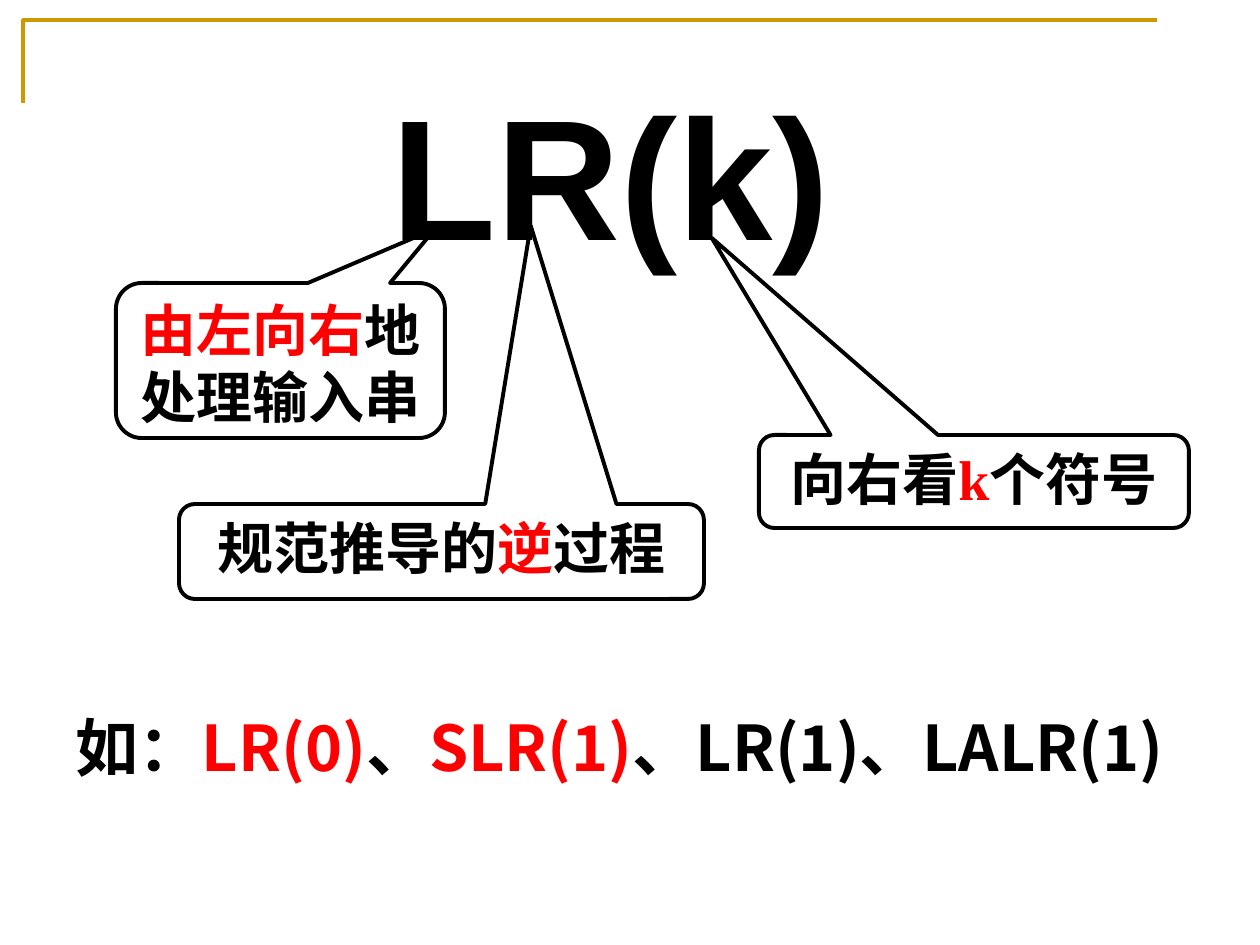
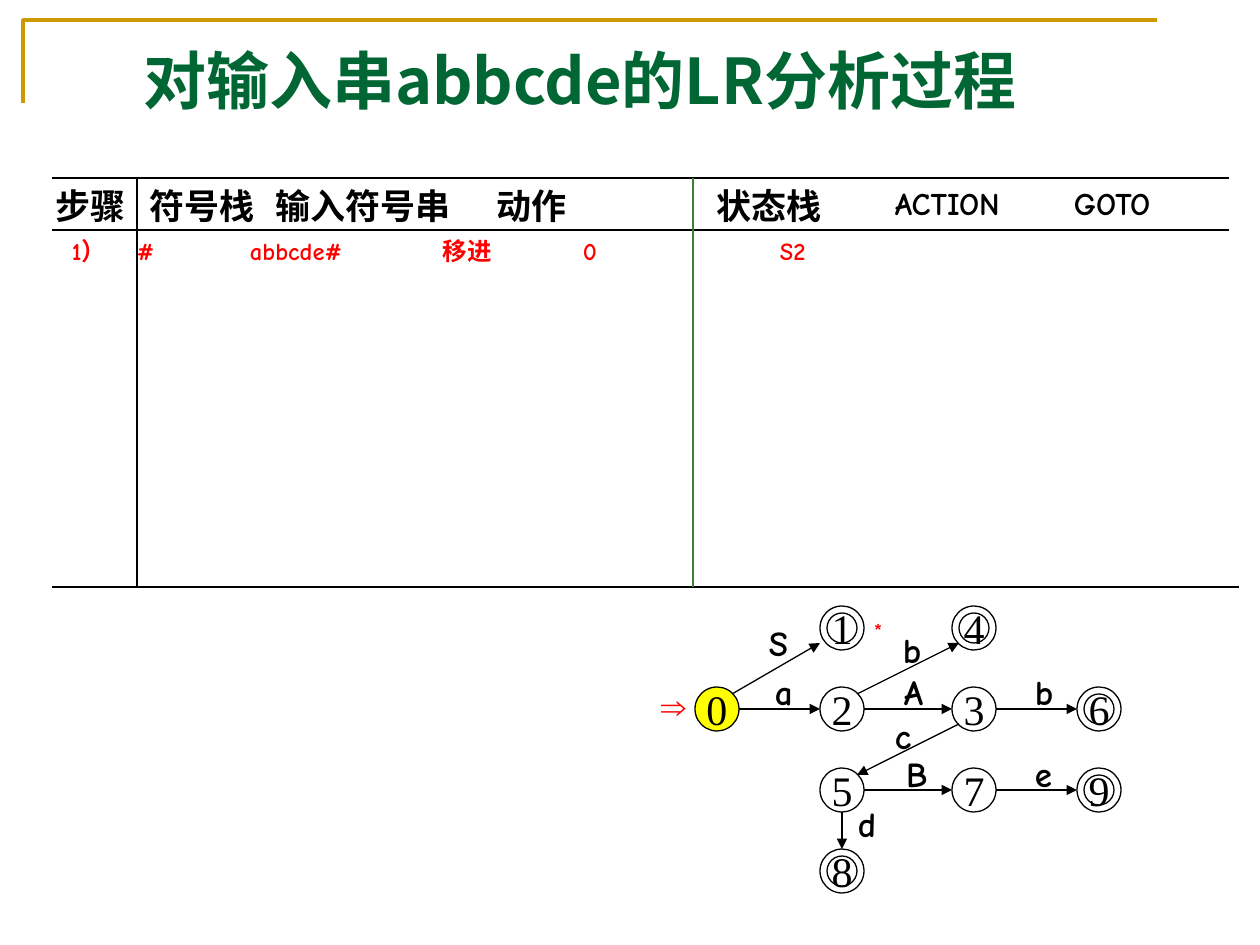
from lxml import etree
from pptx import Presentation
from pptx import util as u
from pptx.dml.color import RGBColor
from pptx.enum import shapes, text
from pptx.oxml.ns import qn

SCALE = 914400 / 126  # EMU in one px
COLORS = {"ink": "000000", "red": "FF0000", "gold": "CC9900", "title": "006633",
          "divider": "3B812F", "start": "FFFF00"}
CJK, SERIF, SANS, COMIC = "Noto Sans CJK SC", "Times New Roman", "Arial", "Comic Neue"
LINE_HEIGHT = 1.2
INSETS = (13, 6)
ALIGN = text.PP_ALIGN
ANCHOR = text.MSO_ANCHOR

NODE = 44  # diameter of a state circle
RING_GAP = 7
NODE_X = [717, 842, 974, 1099]
NODE_Y = [628, 709, 790, 871]
STATES = {"0": (0, 1), "1": (1, 0), "4": (2, 0), "2": (1, 1), "3": (2, 1),
          "6": (3, 1), "5": (1, 2), "7": (2, 2), "9": (3, 2), "8": (1, 3)}
FINAL_STATES = "14689"
SITES = {"right": (22, 0), "left": (-22, 0), "top": (0, -22), "bottom": (0, 22),
         "top right": (15, -15), "top left": (-15, -15), "bottom left": (-15, 15),
         "low left": (-22, 15), "upper right": (15, -15)}
# from state, its site, to state, its site, label, left and top of the label
EDGES = [
    ("0", "top right", "1", "low left", "S", 756, 615),
    ("0", "right", "2", "left", "a", 762, 664),
    ("2", "top right", "4", "bottom left", "b", 890, 622),
    ("2", "right", "3", "left", "A", 891, 664),
    ("3", "right", "6", "left", "b", 1022, 664),
    ("3", "bottom left", "5", "top right", "c", 882, 708),
    ("5", "right", "7", "left", "B", 893, 746),
    ("7", "right", "9", "left", "e", 1022, 746),
    ("5", "bottom", "8", "top", "d", 845, 796),
]


def px(n):
    return u.Emu(round(n * SCALE))


def rgb(name):
    return RGBColor.from_string(COLORS[name])


def write(sp, content, size=20, font=SERIF, color="ink", bold=True, align=ALIGN.LEFT,
          anchor=ANCHOR.TOP, insets=INSETS, wrap=True, tabs=()):
    """Fill sp with a string, or with a list of (string, colour) runs."""
    tf = sp.text_frame
    tf.auto_size = text.MSO_AUTO_SIZE.NONE
    tf.word_wrap = wrap
    tf.vertical_anchor = anchor
    tf.margin_left = tf.margin_right = px(insets[0])
    tf.margin_top = tf.margin_bottom = px(insets[1])
    p = tf.paragraphs[0]
    p.alignment = align
    p.line_spacing = u.Pt(round(size * LINE_HEIGHT, 1))
    if tabs:
        tab_list = etree.SubElement(p._p.get_or_add_pPr(), qn("a:tabLst"))
        for stop in tabs:
            etree.SubElement(tab_list, qn("a:tab"), pos=str(px(stop)), algn="l")
    runs = [(content, color)] if isinstance(content, str) else content
    for words, run_color in runs:
        for i, part in enumerate(words.split("\n")):
            if i:
                p.add_line_break()
            r = p.add_run()
            r.text = part
            r.font.size = u.Pt(size)
            r.font.bold = bold
            r.font.name = font
            r.font.color.rgb = rgb(run_color)
            etree.SubElement(r._r.get_or_add_rPr(), qn("a:ea"), typeface=CJK)


def label(s, content, x, y, w, h=55, **fmt):
    write(s.shapes.add_textbox(px(x), px(y), px(w), px(h)), content, **fmt)


def outline(sp, color="ink", width=0.75, fill=None):
    sp.shadow.inherit = False
    if fill:
        sp.fill.solid()
        sp.fill.fore_color.rgb = rgb(fill)
    else:
        sp.fill.background()
    sp.line.color.rgb = rgb(color)
    sp.line.width = u.Pt(width)


def line(s, x1, y1, x2, y2, color="ink", arrow=False):
    c = s.shapes.add_connector(shapes.MSO_CONNECTOR.STRAIGHT, px(x1), px(y1), px(x2), px(y2))
    c.line.color.rgb = rgb(color)
    c.line.width = u.Pt(0.75)
    if arrow:
        etree.SubElement(c.line._get_or_add_ln(), qn("a:tailEnd"), type="triangle")
    etree.SubElement(c._element.spPr, qn("a:effectLst"))


def new_slide(prs, title, x, y, w, h, **fmt):
    """Add a title-only slide with the gold corner rule."""
    s = prs.slides.add_slide(prs.slide_layouts[5])
    sp = s.shapes.title
    sp.left, sp.top, sp.width, sp.height = px(x), px(y), px(w), px(h)
    write(sp, title, **fmt)
    corner = s.shapes.build_freeform(23, 103, scale=SCALE)
    corner.add_line_segments([(23, 20), (1157, 20)], close=False)
    outline(corner.convert_to_shape(), "gold", 2)
    return s


def callout(s, runs, x, y, w, h, tip):
    """Rounded callout; tip is the pointer's offset from the centre, in widths and heights."""
    sp = s.shapes.add_shape(shapes.MSO_SHAPE.ROUNDED_RECTANGULAR_CALLOUT,
                            px(x), px(y), px(w), px(h))
    sp.adjustments[0], sp.adjustments[1] = tip
    outline(sp, width=2.25)
    write(sp, runs, size=32, align=ALIGN.CENTER, insets=(3, 5))


def circle(s, cx, cy, d, fill=None):
    sp = s.shapes.add_shape(shapes.MSO_SHAPE.OVAL, px(cx - d / 2), px(cy - d / 2), px(d), px(d))
    outline(sp, fill=fill)
    return sp


def center(state):
    col, row = STATES[state]
    return NODE_X[col], NODE_Y[row]


def site(state, name):
    (cx, cy), (dx, dy) = center(state), SITES[name]
    return cx + dx, cy + dy


def automaton(s):
    for state in STATES:
        cx, cy = center(state)
        sp = circle(s, cx, cy, NODE, "start" if state == "0" else None)
        write(sp, state, size=24, bold=False, align=ALIGN.CENTER, anchor=ANCHOR.MIDDLE,
              insets=(0, 0), wrap=False)
        if state in FINAL_STATES:
            circle(s, cx, cy, NODE - 2 * RING_GAP)
    for start, start_site, end, end_site, symbol, x, y in EDGES:
        line(s, *site(start, start_site), *site(end, end_site), arrow=True)
        label(s, symbol, x, y, 46, font=COMIC)
    label(s, "⇒", 648, 678, 60, font=SANS, color="red")
    label(s, "*", 861, 612, 33, 38, size=12, font=COMIC, color="red")


def analysis_grid(s):
    top, head, bottom = 178, 230, 587
    for y, right in [(top, 1229), (head, 1229), (bottom, 1239)]:
        line(s, 52, y, right, y)
    line(s, 137, top, 137, bottom)
    line(s, 693, top, 693, bottom, "divider")
    for name, x, w in [("步骤", 42, 105), ("符号栈", 136, 147), ("输入符号串", 262, 210),
                       ("动作", 483, 105), ("状态栈", 703, 147)]:
        label(s, name, x, top, w)
    for name, x, w in [("ACTION", 882, 168), ("GOTO", 1061, 147)]:
        label(s, name, x, top, w, 50, size=18, font=COMIC)
    label(s, "\t1）\t#\tabbcde#\t移进\t0\tS2", 52, head, 1177, 43, size=14, font=COMIC,
          color="red", tabs=[7, 72, 185, 378, 518, 715])


def lr_meaning_slide(prs):
    s = new_slide(prs, "LR(k)", 379, 63, 464, 219, size=98, font=SANS,
                  align=ALIGN.CENTER, insets=(0, 6))
    label(s, [("如：", "ink"), ("LR(0)", "red"), ("、", "ink"), ("SLR(1)", "red"),
              ("、LR(1)、LALR(1)", "ink")], 63, 703, 1130, 239, size=36, font=CJK)
    callout(s, [("由左向右", "red"), ("地\n处理输入串", "ink")], 116, 283, 329, 155,
            (0.47, -0.85))
    callout(s, [("规范推导的", "ink"), ("逆", "red"), ("过程", "ink")], 179, 504, 525, 95,
            (0.17, -3.43))
    callout(s, [("向右看", "ink"), ("k", "red"), ("个符号", "ink")], 759, 435, 430, 93,
            (-0.61, -2.62))


def parse_steps_slide(prs):
    s = new_slide(prs, "对输入串abbcde的LR分析过程", 130, 35, 998, 88, size=36,
                  font=CJK, color="title")
    analysis_grid(s)
    automaton(s)


def main():
    prs = Presentation()
    prs.slide_width, prs.slide_height = px(1260), px(945)
    lr_meaning_slide(prs)
    parse_steps_slide(prs)
    prs.save("out.pptx")


if __name__ == "__main__":
    main()
